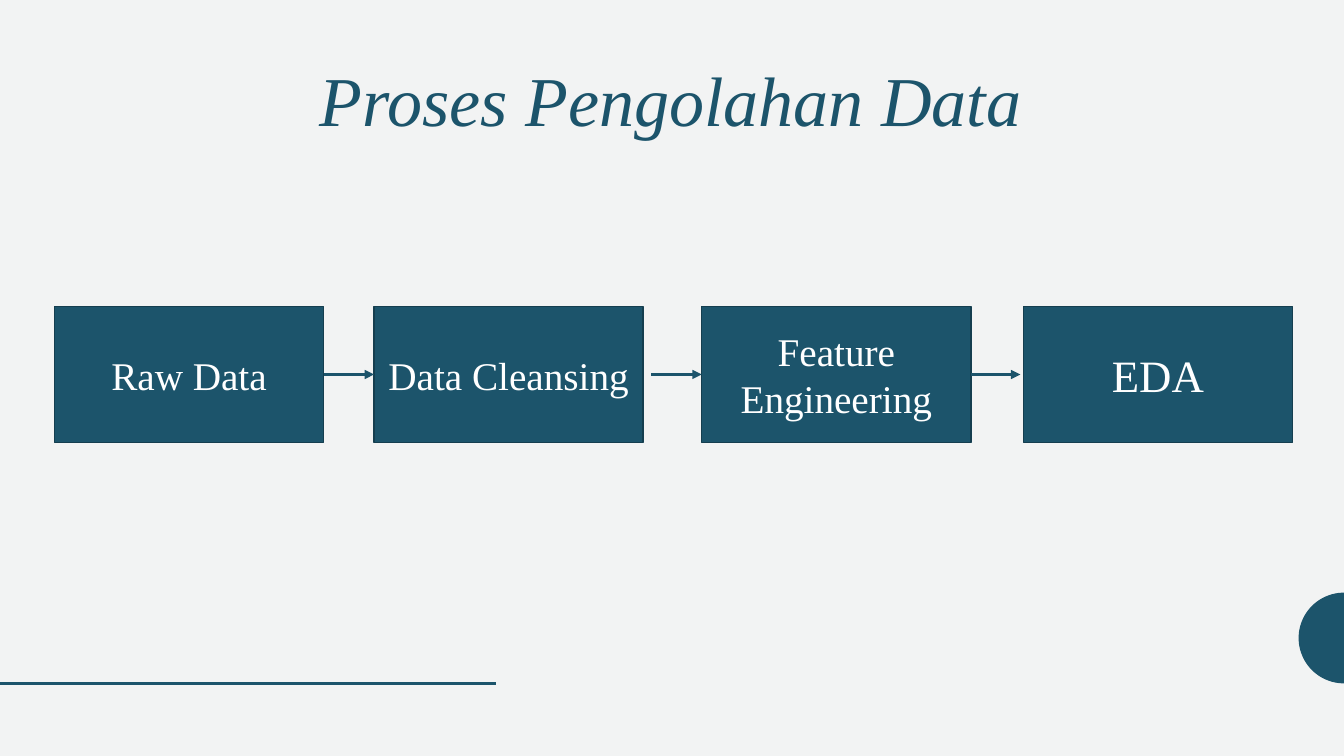
from math import cos, pi, sin

from lxml import etree
from pptx import Presentation
from pptx.dml.color import RGBColor
from pptx.enum.shapes import MSO_CONNECTOR, MSO_SHAPE
from pptx.enum.text import MSO_ANCHOR, PP_ALIGN
from pptx.oxml.ns import qn
from pptx.util import Inches, Pt

STRAIGHT = MSO_CONNECTOR.STRAIGHT
RECTANGLE = MSO_SHAPE.RECTANGLE
TOP, MIDDLE = MSO_ANCHOR.TOP, MSO_ANCHOR.MIDDLE
CENTER = PP_ALIGN.CENTER
LEFT_SIDE, RIGHT_SIDE = 1, 3

FONT = "Times New Roman"
TEAL, DARK_TEAL, WHITE, PALE_GRAY = "1C546B", "153E4F", "FFFFFF", "F2F3F3"
SLIDE_WIDTH, SLIDE_HEIGHT = 13.33, 7.5

STEP_TOP, STEP_WIDTH, STEP_HEIGHT = 3.04, 2.67, 1.35
ARROW_Y = STEP_TOP + STEP_HEIGHT / 2
ARROW_LENGTH = 0.5
# Label, left edge, font size
STEPS = [
    ("Raw Data", 0.54, 28),
    ("Data Cleansing", 3.71, 28),
    ("Feature Engineering", 6.96, 28),
    ("EDA", 10.15, 32),
]


def color(hex_string):
    return RGBColor.from_string(hex_string)


def format_paragraph(paragraph, size, hex_color, italic=False):
    paragraph.alignment = CENTER
    font = paragraph.font
    font.name, font.size, font.italic = FONT, Pt(size), italic
    font.color.rgb = color(hex_color)


def set_title(slide, text):
    title = slide.shapes.title
    title.left, title.top = Inches(0.83), Inches(0.61)
    title.width, title.height = Inches(11.65), Inches(5.42)
    title.text_frame.text = text
    title.text_frame.vertical_anchor = TOP
    paragraph = title.text_frame.paragraphs[0]
    paragraph.line_spacing = 0.9
    format_paragraph(paragraph, 50, TEAL, italic=True)


def add_line(slide, start, end, width, arrow=False):
    line = slide.shapes.add_connector(STRAIGHT, *map(Inches, start + end))
    line.line.color.rgb = color(TEAL)
    line.line.width = Pt(width)
    if arrow:
        etree.SubElement(line.line._get_or_add_ln(), qn("a:tailEnd"), type="triangle")
    etree.SubElement(line._element.spPr, qn("a:effectLst"))
    return line


def add_half_circle(slide, center_x, center_y, radius, segments=48):
    angles = [pi / 2 + pi * step / segments for step in range(segments + 1)]
    points = [
        (Inches(center_x + radius * cos(angle)), Inches(center_y + radius * sin(angle)))
        for angle in angles
    ]
    builder = slide.shapes.build_freeform(*points[0])
    builder.add_line_segments(points[1:], close=True)
    half_circle = builder.convert_to_shape()
    half_circle.shadow.inherit = False
    half_circle.fill.solid()
    half_circle.fill.fore_color.rgb = color(TEAL)
    half_circle.line.fill.background()


def add_step(slide, label, left, size):
    step = slide.shapes.add_shape(
        RECTANGLE, Inches(left), Inches(STEP_TOP), Inches(STEP_WIDTH), Inches(STEP_HEIGHT)
    )
    step.shadow.inherit = False
    step.fill.solid()
    step.fill.fore_color.rgb = color(TEAL)
    step.line.color.rgb = color(DARK_TEAL)
    step.line.width = Pt(1)
    frame = step.text_frame
    frame.text = label
    frame.word_wrap = True
    frame.vertical_anchor = MIDDLE
    format_paragraph(frame.paragraphs[0], size, WHITE)
    return step


def add_arrow(slide, left):
    return add_line(slide, (left, ARROW_Y), (left + ARROW_LENGTH, ARROW_Y), 2.25, arrow=True)


def main():
    presentation = Presentation()
    presentation.slide_width = Inches(SLIDE_WIDTH)
    presentation.slide_height = Inches(SLIDE_HEIGHT)
    slide = presentation.slides.add_slide(presentation.slide_layouts[5])
    slide.background.fill.solid()
    slide.background.fill.fore_color.rgb = color(PALE_GRAY)

    # Decoration and title
    add_half_circle(slide, SLIDE_WIDTH, 6.33, 0.45)
    add_line(slide, (0, 6.78), (4.92, 6.78), 2)
    set_title(slide, "Proses Pengolahan Data")

    # Process steps
    raw, cleansing, feature, eda = [add_step(slide, *step) for step in STEPS]

    # Arrows: the second starts and the third ends just clear of its box
    first, second, third = [add_arrow(slide, left) for left in (3.21, 6.46, 9.62)]
    first.begin_connect(raw, RIGHT_SIDE)
    first.end_connect(cleansing, LEFT_SIDE)
    second.end_connect(feature, LEFT_SIDE)
    third.begin_connect(feature, RIGHT_SIDE)

    presentation.save("out.pptx")


if __name__ == "__main__":
    main()
